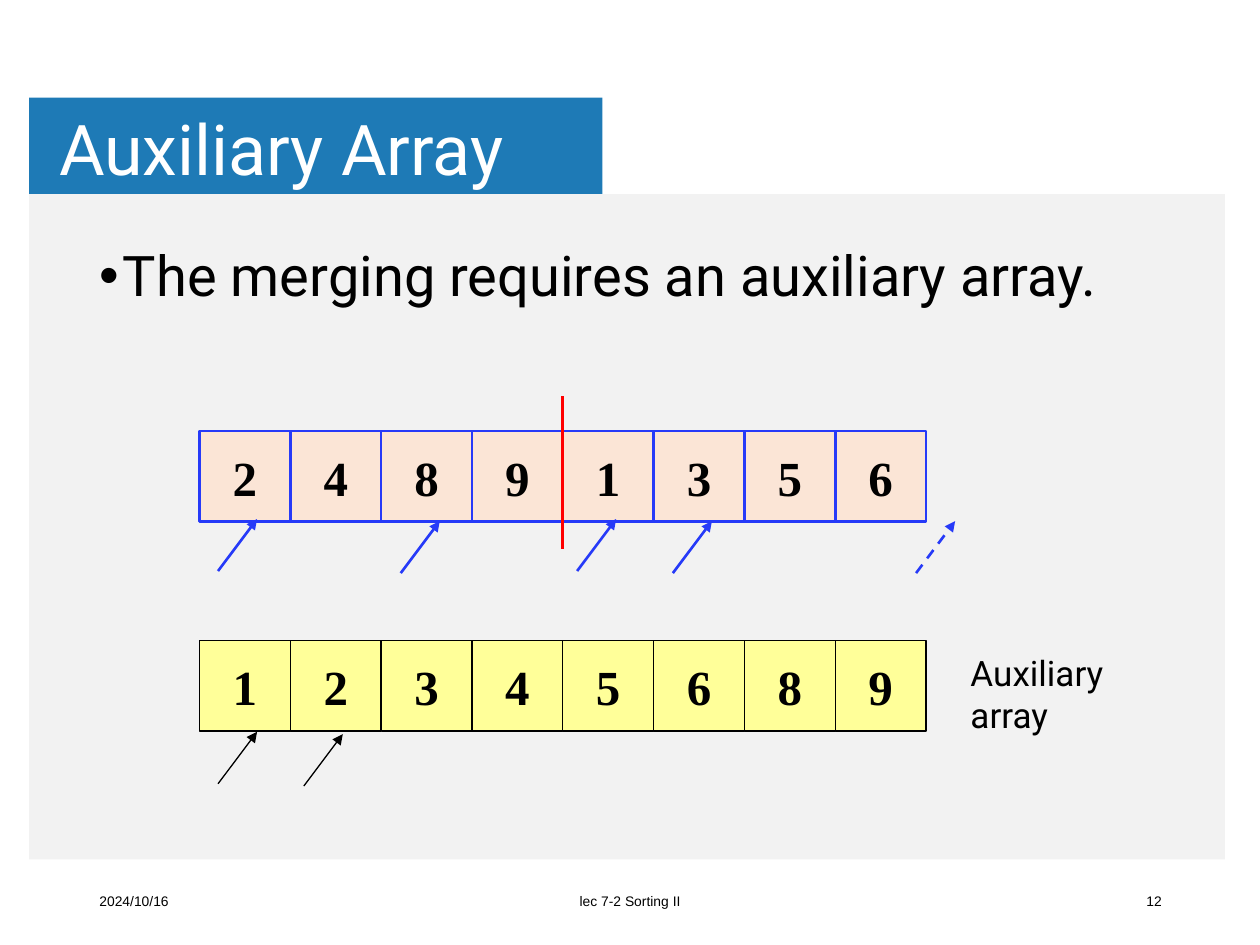
"""Build the slide on merging two sorted runs through an auxiliary array."""
import pptx
import pptx.dml.color
import pptx.enum.dml
import pptx.enum.shapes
import pptx.enum.text
import pptx.oxml
import pptx.oxml.ns
import pptx.util

Pt = pptx.util.Pt
RGBColor = pptx.dml.color.RGBColor
MSO_SHAPE = pptx.enum.shapes.MSO_SHAPE
MSO_CONNECTOR = pptx.enum.shapes.MSO_CONNECTOR
MSO_ANCHOR = pptx.enum.text.MSO_ANCHOR
PP_ALIGN = pptx.enum.text.PP_ALIGN
DASH = pptx.enum.dml.MSO_LINE.DASH

WHITE = RGBColor(0xFF, 0xFF, 0xFF)
BLACK = RGBColor(0x00, 0x00, 0x00)
TITLE_BLUE = RGBColor(0x1E, 0x7A, 0xB6)
GREY = RGBColor(0xF2, 0xF2, 0xF2)
PEACH = RGBColor(0xFB, 0xE5, 0xD6)
YELLOW = RGBColor(0xFF, 0xFF, 0x99)
BLUE = RGBColor(0x26, 0x3A, 0xF8)
RED = RGBColor(0xFF, 0x00, 0x00)

TITLE = "Auxiliary Array"
BULLET = "The merging requires an auxiliary array."
AUX_LABEL = "Auxiliary array"
FOOTERS = [
    ("2024/10/16", 49.7, 162, PP_ALIGN.LEFT),
    ("lec 7-2 Sorting II", 238.3, 243.4, PP_ALIGN.CENTER),
    ("12", 509, 162, PP_ALIGN.RIGHT),
]
PANELS = [
    (16.6, 55.8, 327.6, 120.2, TITLE_BLUE),
    (16.6, 110.9, 683.3, 380.2, GREY),
]
ARRAYS = [
    ([2, 4, 8, 9, 1, 3, 5, 6], 246.3, PEACH, BLUE, 1.5),
    ([1, 2, 3, 4, 5, 6, 8, 9], 365.8, YELLOW, BLACK, 0.75),
]
ARRAY_LEFT, CELL = 114, 51.9
ARROW_DX, ARROW_DY = 22.3, 29.7
POINTERS = [
    (124.6, 326.3, BLUE, 1.5, None),
    (229, 327.5, BLUE, 1.5, None),
    (329.8, 326.3, BLUE, 1.5, None),
    (384.5, 327.5, BLUE, 1.5, None),
    (523.5, 327.5, BLUE, 1.5, DASH),
    (124.6, 447.9, BLACK, 0.75, None),
    (173.6, 449.2, BLACK, 0.75, None),
]


def set_text(sp, text, size, font="Roboto", color=BLACK, bold=False, align=PP_ALIGN.LEFT):
    p = sp.text_frame.paragraphs[0]
    p.text = text
    p.alignment = align
    r = p.runs[0]
    r.font.size, r.font.name, r.font.bold = Pt(size), font, bold
    r.font.color.rgb = color
    return p


def add_text(s, x, y, w, h, text, size, anchor=MSO_ANCHOR.TOP, **style):
    sp = s.shapes.add_textbox(Pt(x), Pt(y), Pt(w), Pt(h))
    sp.text_frame.word_wrap = True
    sp.text_frame.vertical_anchor = anchor
    return set_text(sp, text, size, **style)


def add_rect(s, x, y, w, h, fill):
    sp = s.shapes.add_shape(MSO_SHAPE.RECTANGLE, Pt(x), Pt(y), Pt(w), Pt(h))
    sp.shadow.inherit = False
    sp.fill.solid()
    sp.fill.fore_color.rgb = fill
    sp.line.fill.background()
    return sp


def add_line(s, x1, y1, x2, y2, color, width):
    line = s.shapes.add_connector(MSO_CONNECTOR.STRAIGHT, Pt(x1), Pt(y1), Pt(x2), Pt(y2))
    line.line.color.rgb = color
    line.line.width = Pt(width)
    pptx.oxml.xmlchemy.OxmlElement("a:effectLst")
    line._element.spPr.append(pptx.oxml.xmlchemy.OxmlElement("a:effectLst"))
    return line


def add_title(s):
    sp = s.shapes.title
    sp.left, sp.top, sp.width, sp.height = Pt(28.8), Pt(59), Pt(540.7), Pt(56.9)
    tf = sp.text_frame
    tf.margin_left = tf.margin_right = Pt(5)
    tf.margin_top = tf.margin_bottom = Pt(3)
    tf.vertical_anchor = MSO_ANCHOR.MIDDLE
    tf.auto_size = pptx.enum.text.MSO_AUTO_SIZE.NONE
    set_text(sp, TITLE, 40, color=WHITE).line_spacing = 0.9


def add_bullet(s):
    p = add_text(s, 49.7, 138.5, 620.6, 337, BULLET, 32)
    p.line_spacing = 0.9
    pPr = p._p.get_or_add_pPr()
    pPr.set("marL", str(Pt(13.5)))
    pPr.set("indent", str(Pt(-13.5)))
    font = pptx.oxml.xmlchemy.OxmlElement("a:buFont")
    font.set("typeface", "Arial")
    char = pptx.oxml.xmlchemy.OxmlElement("a:buChar")
    char.set("char", "•")
    pPr.extend([font, char])


def add_array(s, values, top, fill, color, width):
    for i, value in enumerate(values):
        sp = add_rect(s, ARRAY_LEFT + i * CELL, top, CELL, CELL, fill)
        sp.line.color.rgb = color
        sp.line.width = Pt(width)
        sp.text_frame.word_wrap = False
        sp.text_frame.vertical_anchor = MSO_ANCHOR.MIDDLE
        set_text(sp, str(value), 28, "Times New Roman", bold=True, align=PP_ALIGN.CENTER)


def add_pointer(s, x, y, color, width, dash):
    line = add_line(s, x, y, x + ARROW_DX, y - ARROW_DY, color, width)
    if dash:
        line.line.dash_style = dash
    head = pptx.oxml.xmlchemy.OxmlElement("a:tailEnd")
    head.set("type", "triangle")
    line.line._get_or_add_ln().append(head)


def main():
    prs = pptx.Presentation()
    prs.slide_width, prs.slide_height = Pt(720), Pt(540)
    s = prs.slides.add_slide(prs.slide_layouts[5])
    for panel in PANELS:
        s.shapes.title._element.addprevious(add_rect(s, *panel)._element)
    add_title(s)
    add_bullet(s)
    for text, x, w, align in FOOTERS:
        add_text(s, x, 500.5, w, 28.8, text, 7.9, MSO_ANCHOR.MIDDLE, font="Arial", align=align)
    for array in ARRAYS:
        add_array(s, *array)
    middle = ARRAY_LEFT + 4 * CELL
    add_line(s, middle, 226.3, middle, 314, RED, 1.5)
    add_text(s, 547.5, 368.6, 112.3, 55.4, AUX_LABEL, 20)
    for pointer in POINTERS:
        add_pointer(s, *pointer)
    prs.save("out.pptx")


if __name__ == "__main__":
    main()
